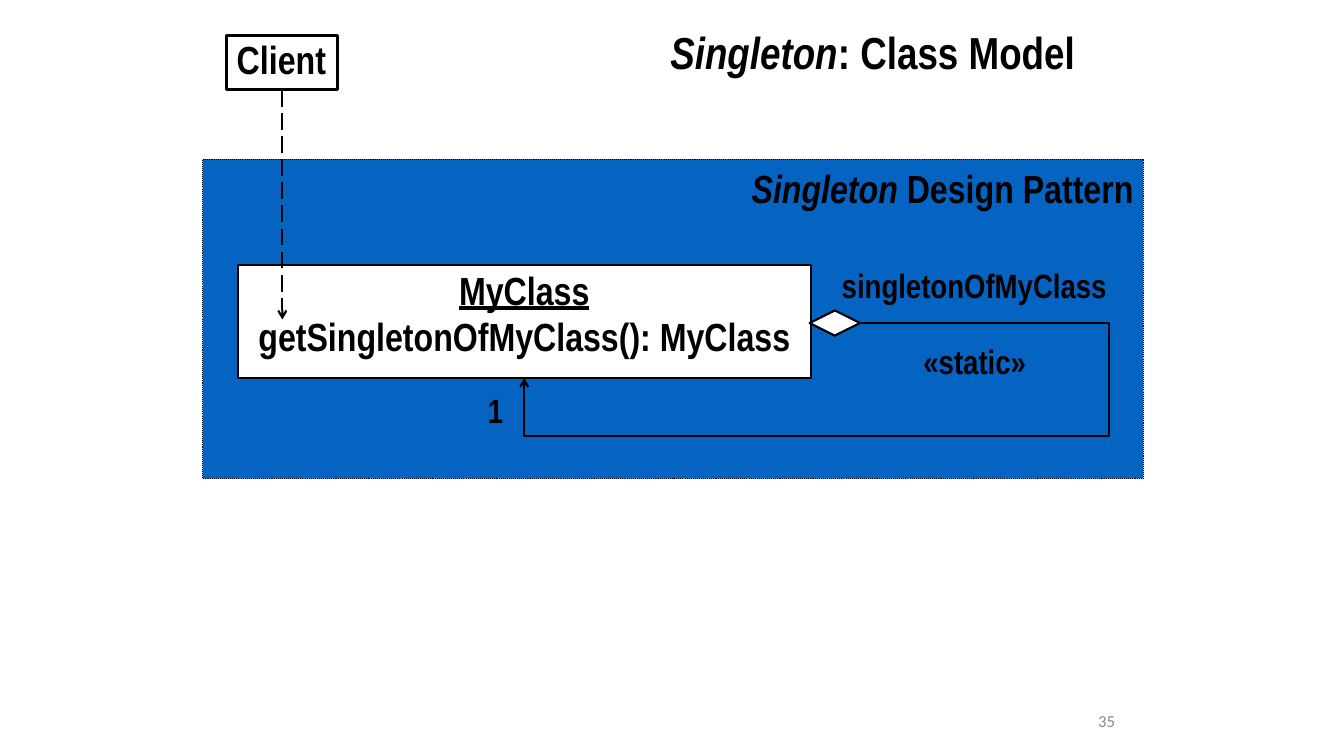
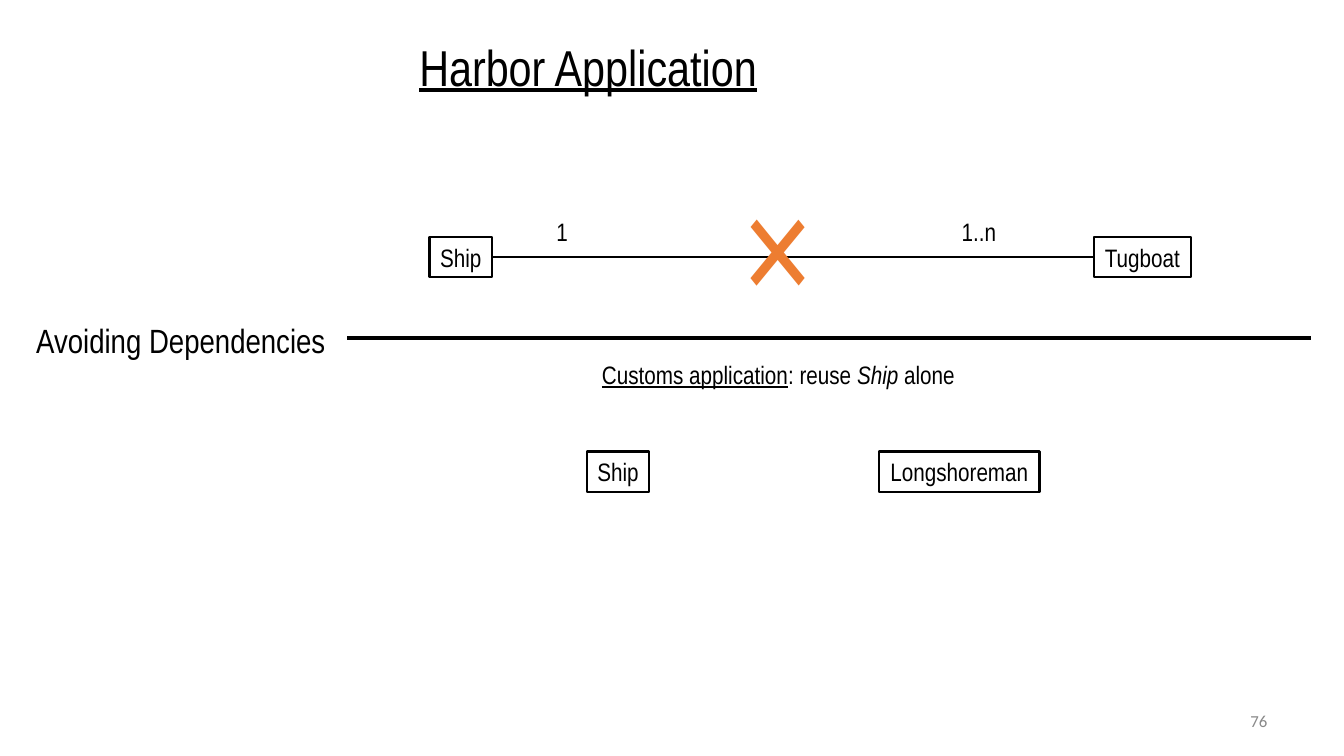
import pptx
import pptx.util
import pptx.dml.color
import pptx.enum.dml
import pptx.enum.shapes
import pptx.enum.text
import pptx.oxml.ns
from lxml import etree

Inches, Pt = pptx.util.Inches, pptx.util.Pt
SHAPE = pptx.enum.shapes.MSO_SHAPE
CONNECTOR = pptx.enum.shapes.MSO_CONNECTOR
DASH = pptx.enum.dml.MSO_LINE
ALIGN = pptx.enum.text.PP_ALIGN
ANCHOR = pptx.enum.text.MSO_ANCHOR
AUTO_SIZE = pptx.enum.text.MSO_AUTO_SIZE
qn = pptx.oxml.ns.qn

COLORS = {"ink": "000000", "paper": "FFFFFF", "pattern": "0563C1",
          "cross": "ED7D31", "number": "898989"}
FONT, NUMBER_FONT = "Arial Narrow", "Calibri"
TOP, LEFT, BOTTOM, RIGHT = range(4)  # connection sites

# Content: a paragraph is a list of (text, style); b bold, i italic, u underlined
CLASS_TITLE = [[("Singleton", "bi"), (": Class Model", "b")]]
PATTERN_NAME = [[("Singleton ", "bi"), ("Design Pattern", "b")]]
CLASS_TEXT = [[("MyClass", "bu")], [("getSingletonOfMyClass(): MyClass", "b")]]
CLASS_LABELS = [
    ("1", (4.74, 3.82, 0.35, 0.5)),
    ("singletonOfMyClass", (8.25, 2.58, 2.83, 0.5)),
    ("«static»", (9.06, 3.33, 1.22, 0.5)),
]
LOOP_RIGHT, LOOP_BOTTOM = 11, 4.33

HARBOR_ROW, CUSTOMS_ROW = 2.35, 4.48
ENTITY_HEIGHT = 0.4
HARBOR_ENTITIES = [("Ship", 4.26, 0.62), ("Tugboat", 10.85, 0.96)]
CUSTOMS_ENTITIES = [("Ship", 5.82, 0.62), ("Longshoreman", 8.72, 1.59)]
MULTIPLICITIES = [("1..n", 9.44, 0.55), ("1", 5.42, 0.32)]
CUSTOMS_NOTE = [[("Customs application", "u"), (": reuse ", ""),
                 ("Ship", "i"), (" alone", "")]]


def color(name):
    return pptx.dml.color.RGBColor.from_string(COLORS[name])


def write(box, paragraphs, size, ink="ink", font=FONT, align=ALIGN.LEFT,
          anchor=ANCHOR.TOP, wrap=False, spacing=None, gap=0):
    frame = box.text_frame
    frame.word_wrap = wrap
    frame.auto_size = AUTO_SIZE.NONE if wrap else AUTO_SIZE.SHAPE_TO_FIT_TEXT
    frame.vertical_anchor = anchor
    for index, spans in enumerate(paragraphs):
        para = frame.add_paragraph() if index else frame.paragraphs[0]
        para.alignment = align
        if spacing:
            para.line_spacing = spacing
        if index and gap:
            para.space_before = Pt(gap)
        for text, style in spans:
            span = para.add_run()
            span.text = text
            span.font.name, span.font.size = font, Pt(size)
            span.font.color.rgb = color(ink)
            span.font.bold = "b" in style
            span.font.italic = "i" in style
            span.font.underline = "u" in style
    return box


def add_text(page, area, paragraphs, size, **options):
    box = page.shapes.add_textbox(*map(Inches, area))
    return write(box, paragraphs, size, **options)


def add_box(page, area, fill=None, width=1.5, dash=None, kind=SHAPE.RECTANGLE):
    box = page.shapes.add_shape(kind, *map(Inches, area))
    box.shadow.inherit = False
    if fill:
        box.fill.solid()
        box.fill.fore_color.rgb = color(fill)
    else:
        box.fill.background()
    box.line.color.rgb = color("ink")
    box.line.width = Pt(width)
    if dash:
        box.line.dash_style = dash
    return box


def add_line(page, start=(0, 0), end=(0, 0), width=1.5, dash=None, arrow=False,
             kind=CONNECTOR.STRAIGHT):
    line = page.shapes.add_connector(kind, *map(Inches, (*start, *end)))
    line.line.color.rgb = color("ink")
    line.line.width = Pt(width)
    if dash:
        line.line.dash_style = dash
    if arrow:
        etree.SubElement(line.line._get_or_add_ln(), qn("a:tailEnd"), type="arrow")
    etree.SubElement(line._element.spPr, qn("a:effectLst"))
    return line


def route_loop(line, right, bottom):
    """Send an elbow out to the right, below its end and back up."""
    shares = ((line.begin_x - Inches(right)) / line.width,
              (Inches(bottom) - line.begin_y) / line.height)
    geometry = line._element.spPr.find(qn("a:prstGeom"))
    geometry.set("prst", "bentConnector4")
    guides = geometry.find(qn("a:avLst"))
    if guides is None:
        guides = etree.SubElement(geometry, qn("a:avLst"))
    for number, share in enumerate(shares, 1):
        etree.SubElement(guides, qn("a:gd"), name=f"adj{number}",
                         fmla=f"val {round(share * 100000)}")


def add_number(page, number, left, width):
    add_text(page, (left, 6.95, width, 0.4), [[(number, "")]], 12, ink="number",
             font=NUMBER_FONT, align=ALIGN.RIGHT, anchor=ANCHOR.MIDDLE, wrap=True)


def add_entities(page, entities, top):
    boxes = []
    for name, left, width in entities:
        box = add_box(page, (left, top, width, ENTITY_HEIGHT))
        boxes.append(write(box, [[(name, "")]], 18, align=ALIGN.CENTER))
    return boxes


def class_model(page):
    add_text(page, (6.55, 0.25, 4.25, 0.58), CLASS_TITLE, 32,
             anchor=ANCHOR.BOTTOM, spacing=0.9)
    pattern = add_box(page, (2.01, 1.58, 9.33, 3.17), "pattern", 0.75,
                      DASH.ROUND_DOT)
    write(pattern, PATTERN_NAME, 28, align=ALIGN.RIGHT, wrap=True)

    # Classes
    my_class = add_box(page, (2.36, 2.63, 5.68, 1.12), "paper")
    client = add_box(page, (2.25, 0.35, 1.1, 0.54), "paper", 2)
    for box, inset in ((my_class, 0.2), (client, 0.1)):
        box.text_frame.margin_top = Inches(0.2)
        box.text_frame.margin_bottom = Inches(inset)
    write(my_class, CLASS_TEXT, 28, align=ALIGN.CENTER, anchor=ANCHOR.MIDDLE,
          spacing=0.5, gap=16)
    write(client, [[("Client", "b")]], 28, anchor=ANCHOR.MIDDLE, spacing=0.5)

    # Relations
    uses = add_line(page, end=(2.8, 3.17), dash=DASH.LONG_DASH, arrow=True)
    uses.begin_connect(client, BOTTOM)
    diamond = add_box(page, (8.03, 3.08, 0.5, 0.25), "paper",
                      kind=SHAPE.FLOWCHART_DECISION)
    owns = add_line(page, (8.53, 3.21), (5.2, 3.75), arrow=True,
                    kind=CONNECTOR.ELBOW)
    owns.begin_connect(diamond, RIGHT)
    owns.end_connect(my_class, BOTTOM)
    route_loop(owns, LOOP_RIGHT, LOOP_BOTTOM)

    for label, area in CLASS_LABELS:
        add_text(page, area, [[(label, "b")]], 24)
    add_number(page, "35", 8.83, 2.33)


def harbor_application(page):
    add_text(page, (4.06, 0.31, 3.58, 0.71), [[("Harbor Application", "u")]], 36)

    # Harbor: association struck out
    ship, tugboat = add_entities(page, HARBOR_ENTITIES, HARBOR_ROW)
    link = add_line(page)
    link.begin_connect(ship, RIGHT)
    link.end_connect(tugboat, LEFT)
    for label, left, width in MULTIPLICITIES:
        add_text(page, (left, 2.1, width, 0.4), [[(label, "")]], 18)
    add_text(page, (7.21, 1.48, 1.02, 1.88), [[("×", "")]], 106, ink="cross",
             align=ALIGN.CENTER)

    # Divider and its heading
    add_line(page, (3.33, 3.35), (13, 3.35), width=3)
    heading = add_text(page, (0.26, 3.17, 3.18, 0.46),
                       [[("Avoiding Dependencies", "")]], 24,
                       anchor=ANCHOR.MIDDLE, wrap=True, spacing=0.9)
    heading.fill.solid()
    heading.fill.fore_color.rgb = color("paper")

    # Customs
    add_text(page, (5.85, 3.52, 3.74, 0.4), CUSTOMS_NOTE, 18, align=ALIGN.CENTER)
    add_entities(page, CUSTOMS_ENTITIES, CUSTOMS_ROW)
    add_number(page, "76", 9.56, 3.11)


def main():
    deck = pptx.Presentation()
    deck.slide_width, deck.slide_height = Inches(13.33), Inches(7.5)
    for build in (class_model, harbor_application):
        build(deck.slides.add_slide(deck.slide_layouts[6]))
    deck.save("out.pptx")


if __name__ == "__main__":
    main()
